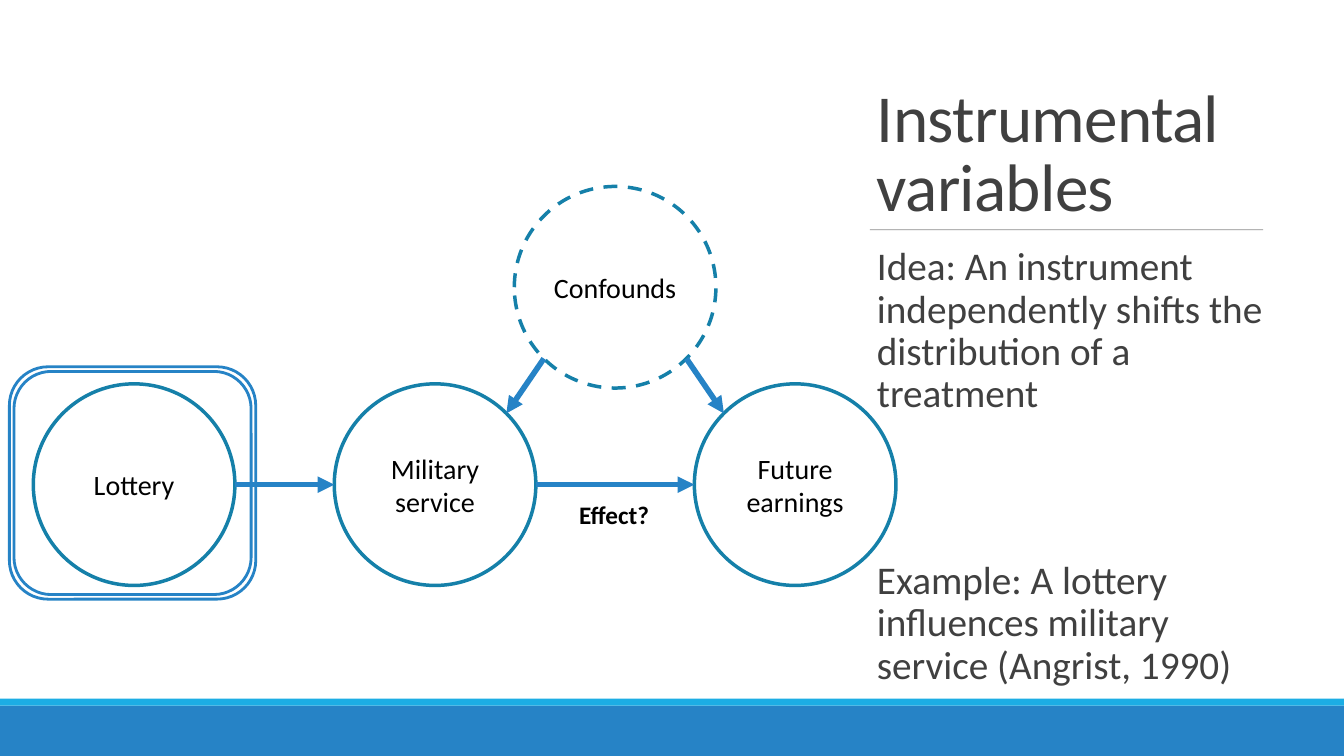
import math
from pptx import Presentation
from pptx.dml.color import RGBColor
from pptx.enum.dml import MSO_LINE
from pptx.enum.shapes import MSO_CONNECTOR, MSO_SHAPE
from pptx.enum.text import MSO_ANCHOR, MSO_AUTO_SIZE, PP_ALIGN
from pptx.oxml.ns import qn
from pptx.util import Pt
from lxml import etree

STRAIGHT = MSO_CONNECTOR.STRAIGHT
RECT, OVAL, ROUNDED = MSO_SHAPE.RECTANGLE, MSO_SHAPE.OVAL, MSO_SHAPE.ROUNDED_RECTANGLE
DASH = MSO_LINE.DASH
TOP, MIDDLE, BOTTOM = MSO_ANCHOR.TOP, MSO_ANCHOR.MIDDLE, MSO_ANCHOR.BOTTOM
LEFT, CENTER = PP_ALIGN.LEFT, PP_ALIGN.CENTER
NO_FIT = MSO_AUTO_SIZE.NONE
FONT = "Calibri"
BLUE, CYAN, TEAL = "2683C6", "1CADE4", "1580A9"
BLACK, DARK, GREY = "000000", "404040", "808080"
RADIUS = 72


def rgb(color):
    return RGBColor.from_string(color)


def style(p, size, color, bold=False):
    for r in p.runs:
        r.font.name = FONT
        r.font.size = Pt(size)
        r.font.bold = bold
        r.font.color.rgb = rgb(color)


def place(s, x, y, w, h):
    s.left, s.top, s.width, s.height = Pt(x), Pt(y), Pt(w), Pt(h)


def band(slide, y, h, color):
    s = slide.shapes.add_shape(RECT, 0, Pt(y), Pt(960), Pt(h))
    s.shadow.inherit = False
    s.fill.solid()
    s.fill.fore_color.rgb = rgb(color)
    s.line.fill.background()


def outline(slide, kind, x, y, w, h, color, width):
    s = slide.shapes.add_shape(kind, Pt(x), Pt(y), Pt(w), Pt(h))
    s.shadow.inherit = False
    s.fill.background()
    s.line.color.rgb = rgb(color)
    s.line.width = Pt(width)
    return s


def node(slide, center, text, dashed=False):
    x, y = center
    s = outline(slide, OVAL, x - RADIUS, y - RADIUS, 2 * RADIUS, 2 * RADIUS, TEAL, 2.5)
    if dashed:
        s.line.dash_style = DASH
    tf = s.text_frame
    tf.text = text
    tf.word_wrap = True
    tf.vertical_anchor = MIDDLE
    tf.margin_left = tf.margin_right = Pt(3)
    p = tf.paragraphs[0]
    p.alignment = CENTER
    style(p, 20, BLACK)


def rim(center, degrees):
    angle = math.radians(degrees)
    return center[0] + RADIUS * math.cos(angle), center[1] + RADIUS * math.sin(angle)


def line(slide, start, end, color, width):
    s = slide.shapes.add_connector(STRAIGHT, *(Pt(v) for v in (*start, *end)))
    s.line.color.rgb = rgb(color)
    s.line.width = Pt(width)
    etree.SubElement(s._element.spPr, qn("a:effectLst"))
    return s


def arrow(slide, start, end):
    s = line(slide, start, end, BLUE, 4)
    etree.SubElement(s.line._get_or_add_ln(), qn("a:tailEnd"), type="triangle")


def rule(slide, x1, x2, y):
    s = line(slide, (x1, y), (x2, y), GREY, 0.5)
    color = s._element.spPr.find(".//" + qn("a:srgbClr"))
    etree.SubElement(color, qn("a:alpha"), val="90000")


def title(slide, text):
    s = slide.shapes.title
    place(s, 619.2, 49.7, 290.9, 114.5)
    tf = s.text_frame
    tf.text = text
    tf.auto_size = NO_FIT
    tf.vertical_anchor = BOTTOM
    p = tf.paragraphs[0]
    p.alignment = LEFT
    p.line_spacing = 0.85
    style(p, 48, DARK)
    p.runs[0]._r.get_or_add_rPr().set("spc", "-50")


def body(slide, items):
    s = slide.placeholders[1]
    place(s, 619.2, 172.8, 290.9, 311.8)
    tf = s.text_frame
    tf.text = "\n".join(items)
    tf.auto_size = NO_FIT
    tf.vertical_anchor = TOP
    tf.margin_left = tf.margin_right = 0
    for i, p in enumerate(tf.paragraphs):
        pPr = p._p.get_or_add_pPr()
        pPr.set("marL", str(Pt(7.2)))
        pPr.set("indent", "0")
        etree.SubElement(pPr, qn("a:buNone"))
        p.alignment = LEFT
        p.line_spacing = 0.9
        p.space_before = Pt(101 if i else 0)
        p.space_after = Pt(2)
        style(p, 28, DARK)


def label(slide, x, y, w, h, text):
    tf = slide.shapes.add_textbox(Pt(x), Pt(y), Pt(w), Pt(h)).text_frame
    tf.text = text
    tf.word_wrap = False
    style(tf.paragraphs[0], 18, BLACK, bold=True)


def main():
    prs = Presentation()
    prs.slide_width, prs.slide_height = Pt(960), Pt(540)
    slide = prs.slides.add_slide(prs.slide_layouts[1])

    band(slide, 504, 36, BLUE)
    band(slide, 499, 5, CYAN)
    rule(slide, 621.4, 902.2, 164.2)
    title(slide, "Instrumental variables")
    body(slide, [
        "Idea: An instrument independently shifts the distribution of a treatment",
        "Example: A lottery influences military service (Angrist, 1990)",
    ])

    lottery, service, earnings = ((x, 346.2) for x in (95.8, 310.8, 568))
    confounds = (439.4, 205.2)
    node(slide, service, "Military service")
    node(slide, earnings, "Future earnings")
    node(slide, confounds, "Confounds", dashed=True)
    node(slide, lottery, "Lottery")

    arrow(slide, rim(lottery, 0), rim(service, 180))
    arrow(slide, rim(service, 0), rim(earnings, 180))
    arrow(slide, rim(confounds, 45), rim(earnings, 225))
    arrow(slide, rim(confounds, 135), rim(service, 315))
    label(slide, 406.6, 352.8, 65.5, 28.8, "Effect?")

    for gap in (0, 3.3):
        outline(slide, ROUNDED, 6.7 + gap, 262 + gap, 176 - 2 * gap, 166 - 2 * gap, BLUE, 2)

    prs.save("out.pptx")


if __name__ == "__main__":
    main()
